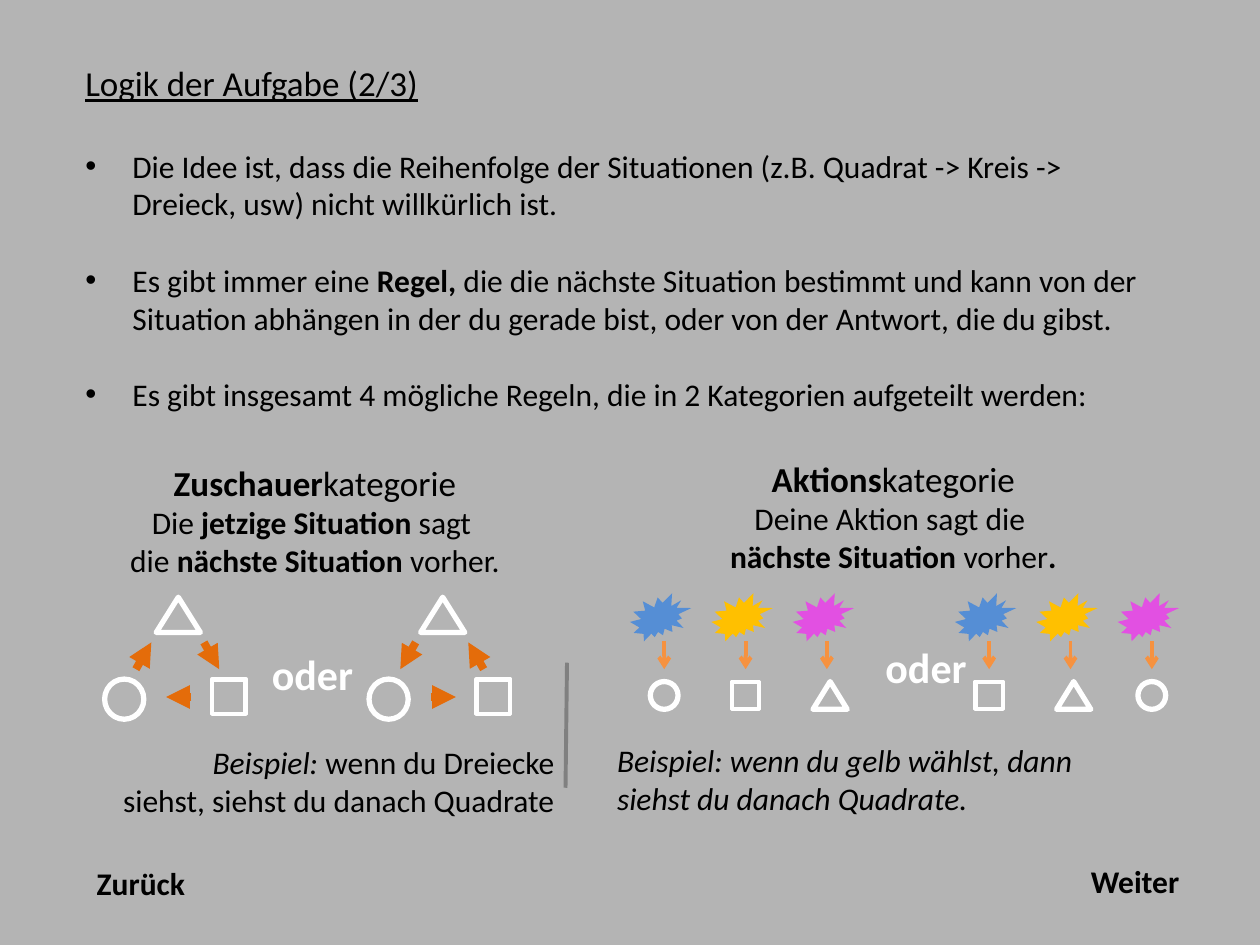
from pptx import Presentation
from pptx.dml.color import RGBColor
from pptx.enum.shapes import MSO_CONNECTOR, MSO_SHAPE
from pptx.enum.text import MSO_ANCHOR, PP_ALIGN
from pptx.oxml.ns import qn
from pptx.util import Cm, Pt
from lxml.etree import SubElement

FONT = "Calibri"
STYLES = {"b": "bold", "i": "italic", "u": "underline"}
LEFT, CENTER, RIGHT = PP_ALIGN.LEFT, PP_ALIGN.CENTER, PP_ALIGN.RIGHT


def paint(s, line=None, width=0, fill=None, tail=None):
    if line:
        s.line.color.rgb = RGBColor.from_string(line)
        s.line.width = Pt(width)
    else:
        s.line.fill.background()
    if hasattr(s, "begin_x"):
        ln = s.line._get_or_add_ln()
        if tail:
            SubElement(ln, qn("a:tailEnd"), type=tail)
        SubElement(s._element.spPr, qn("a:effectLst"))
        return
    s.shadow.inherit = False
    if fill:
        s.fill.solid()
        s.fill.fore_color.rgb = RGBColor.from_string(fill)
    else:
        s.fill.background()


def write(shapes, at, paras, align=LEFT, wrap=True, color="000000"):
    s = shapes.add_textbox(*map(Cm, at))
    tf = s.text_frame
    tf.word_wrap = wrap
    tf.vertical_anchor = MSO_ANCHOR.TOP
    for n, runs in enumerate(paras):
        p = tf.add_paragraph() if n else tf.paragraphs[0]
        p.alignment = align
        for text, size, style in runs:
            if text == "\n":
                p.add_line_break()
                continue
            r = p.add_run()
            r.text = text
            fmt = {"name": FONT, "size": Pt(size)}
            fmt.update({STYLES[c]: True for c in style})
            for key, value in fmt.items():
                setattr(r.font, key, value)
            r.font.color.rgb = RGBColor.from_string(color)
    return tf


prs = Presentation()
prs.slide_width, prs.slide_height = Cm(25.4), Cm(19.05)
slide = prs.slides.add_slide(prs.slide_layouts[6])
slide.background.fill.solid()
slide.background.fill.fore_color.rgb = RGBColor.from_string("B4B4B4")
shapes = slide.shapes

tf = write(shapes, (1.47, 0.43, 22.43, 8.03), [
    [("Logik der Aufgabe (2/3)", 20, "u")],
    [("Die Idee ist, dass die Reihenfolge der Situationen (z.B. Quadrat -> Kreis -> "
      "Dreieck, usw) nicht willkürlich ist.", 18, "")],
    [("Es gibt immer eine ", 18, ""), ("Regel,", 18, "b"),
     (" die die nächste Situation bestimmt und kann von der Situation abhängen "
      "in der du gerade bist, oder von der Antwort, die du gibst.", 18, "")],
    [("Es gibt insgesamt 4 mögliche Regeln, die in 2 Kategorien aufgeteilt werden:", 18, "")],
])
tf.margin_top = Cm(0.82)
for p, gap in zip(tf.paragraphs[1:], (24.4, 22, 22)):
    p.space_before = Pt(gap)
    pPr = p._p.get_or_add_pPr()
    pPr.set("marL", str(Cm(0.95)))
    pPr.set("indent", str(-Cm(0.95)))
    SubElement(pPr, qn("a:buFont"), typeface="Arial")
    SubElement(pPr, qn("a:buChar"), char="•")

viewer = shapes.add_group_shape().shapes
symbols = [
    (MSO_SHAPE.FRAME, (4.27, 13.69, 0.69, 0.71), 2),
    (MSO_SHAPE.OVAL, (2.11, 13.69, 0.79, 0.81), 3),
    (MSO_SHAPE.ISOSCELES_TRIANGLE, (3.15, 12.04, 0.89, 0.71), 3),
]
arrows = [
    ((2.74, 13.49), (3.05, 12.95)),
    ((4.11, 12.95), (4.42, 13.49)),
    ((3.86, 14.05), (3.35, 14.05)),
]
for dx, backwards in ((0, False), (5.33, True)):
    for kind, (x, y, w, h), width in symbols:
        s = viewer.add_shape(kind, Cm(x + dx), Cm(y), Cm(w), Cm(h))
        if kind == MSO_SHAPE.FRAME:
            s.adjustments[0] = 0.022
        paint(s, "FFFFFF", width)
    for ends in arrows:
        (x1, y1), (x2, y2) = reversed(ends) if backwards else ends
        s = viewer.add_connector(MSO_CONNECTOR.STRAIGHT, Cm(x1 + dx), Cm(y1), Cm(x2 + dx), Cm(y2))
        paint(s, "E46C0A", 4.5, tail="triangle")
write(viewer, (5.23, 12.95, 2.16, 1.27), [[("oder", 24, "b")]], wrap=False, color="FFFFFF")

action = shapes.add_group_shape().shapes
circle = (MSO_SHAPE.OVAL, 0.56, 3)
square = (MSO_SHAPE.FRAME, 0.56, 2)
triangle = (MSO_SHAPE.ISOSCELES_TRIANGLE, 0.69, 3)
for left, row in ((12.7, (circle, square, triangle)), (19.25, (square, triangle, circle))):
    for i, (color, (kind, w, width)) in enumerate(zip(("558ED5", "FFC000", "E250E2"), row)):
        x = left + 1.64 * i
        s = action.add_shape(MSO_SHAPE.EXPLOSION2, Cm(x), Cm(11.96), Cm(1.24), Cm(0.97))
        paint(s, fill=color)
        s = action.add_connector(MSO_CONNECTOR.STRAIGHT, Cm(x + 0.69), Cm(12.93), Cm(x + 0.69), Cm(13.49))
        paint(s, "F69240", 2.25, tail="arrow")
        s = action.add_shape(kind, Cm(x + 0.41), Cm(13.74), Cm(w), Cm(0.56))
        if kind == MSO_SHAPE.FRAME:
            s.adjustments[0] = 0.022
        paint(s, "FFFFFF", width)
write(action, (17.6, 12.8, 2.16, 1.27), [[("oder", 24, "b")]], wrap=False, color="FFFFFF")

divider = shapes.add_connector(MSO_CONNECTOR.STRAIGHT, Cm(11.43), Cm(13.36), Cm(11.4), Cm(15.88))
paint(divider, "808080", 2.25)

write(shapes, (0, 9.17, 12.7, 2.64), [
    [("Zuschauer", 20, "b"), ("kategorie", 20, ""), ("\n", 20, ""),
     ("Die ", 18, ""), ("jetzige Situation ", 18, "b"), ("sagt ", 18, "")],
    [("die ", 18, ""), ("nächste Situation ", 18, "b"), ("vorher.", 18, "")],
], CENTER)
write(shapes, (11.66, 9.09, 12.7, 2.64), [
    [("Aktions", 20, "b"), ("kategorie", 20, ""), ("\n", 20, ""), ("Deine Aktion sagt die ", 18, "")],
    [("nächste Situation ", 18, "b"), ("vorher", 18, ""), (".", 18, "b")],
], CENTER)
write(shapes, (1.6, 14.86, 9.83, 1.8), [
    [("Beispiel: ", 18, "i"), ("wenn du Dreiecke", 18, "")],
    [("siehst, siehst du danach Quadrate", 18, "")],
], RIGHT)
write(shapes, (12.19, 14.81, 9.83, 1.8), [
    [("Beispiel: wenn du gelb wählst, dann siehst du danach Quadrate.", 18, "i")],
])
for label, x, y in (("Zurück", 1.7, 17.3), ("Weiter", 21.74, 17.25)):
    write(shapes, (x, y, 2.31, 1.02), [[(label, 18, "b")]], wrap=False)

prs.save("out.pptx")
